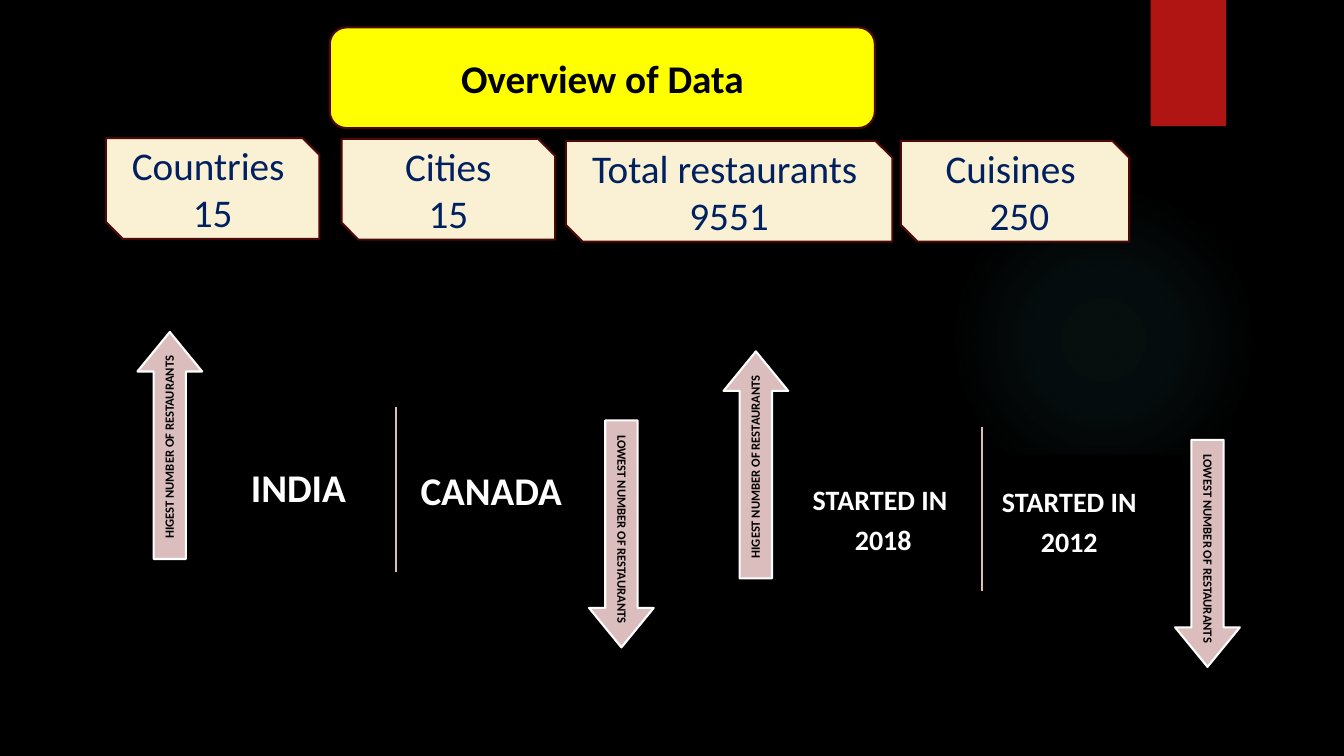
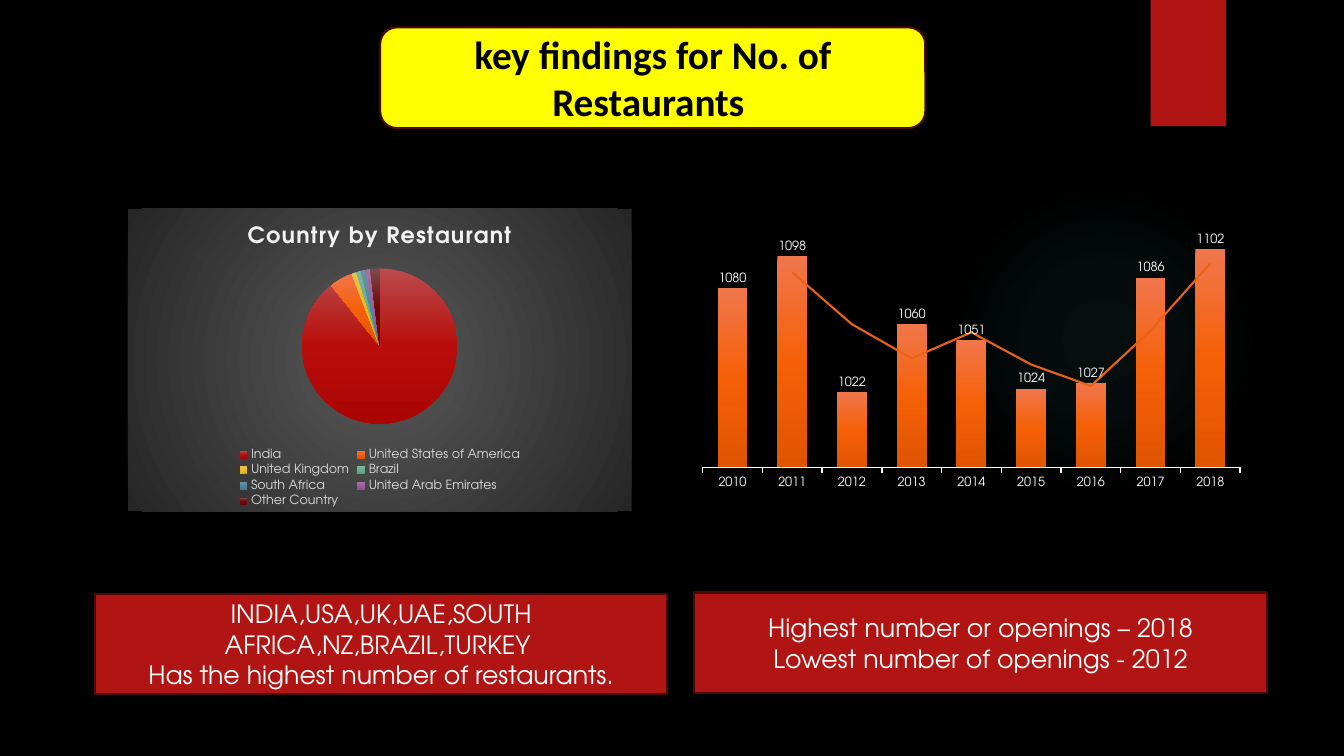
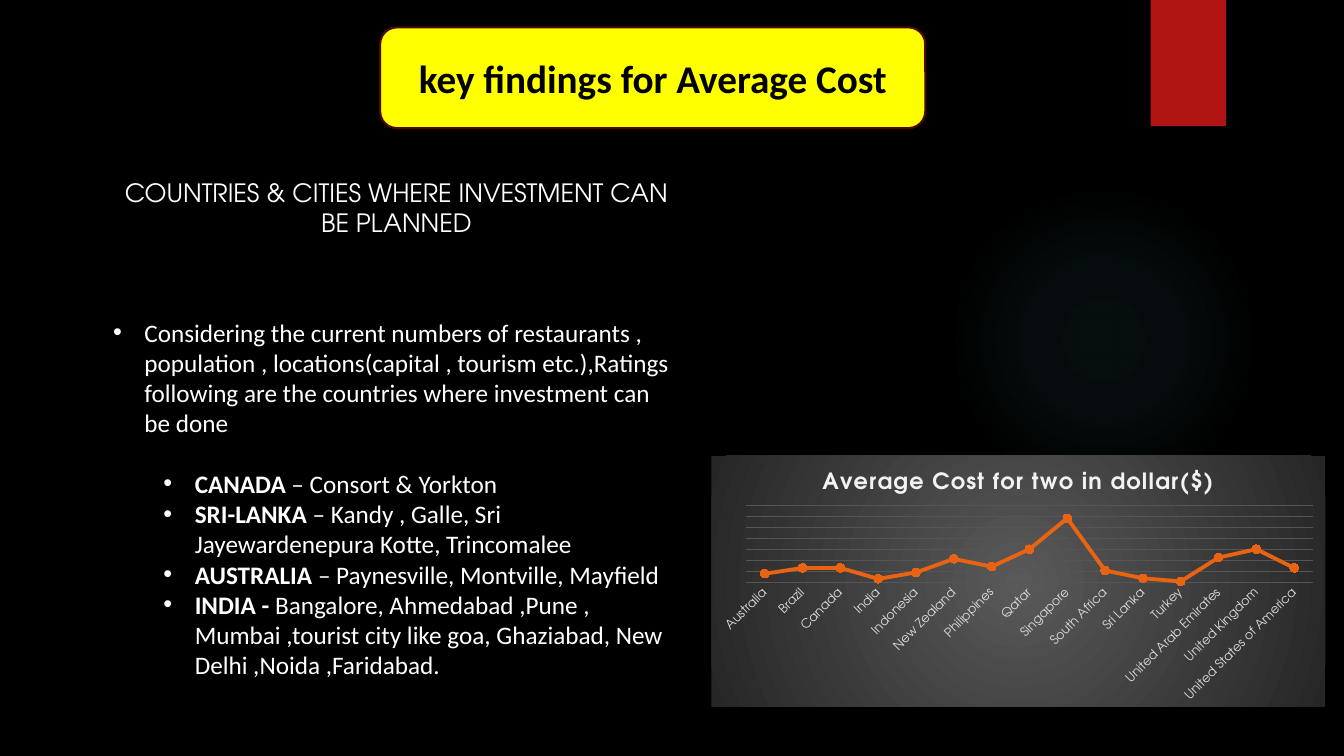
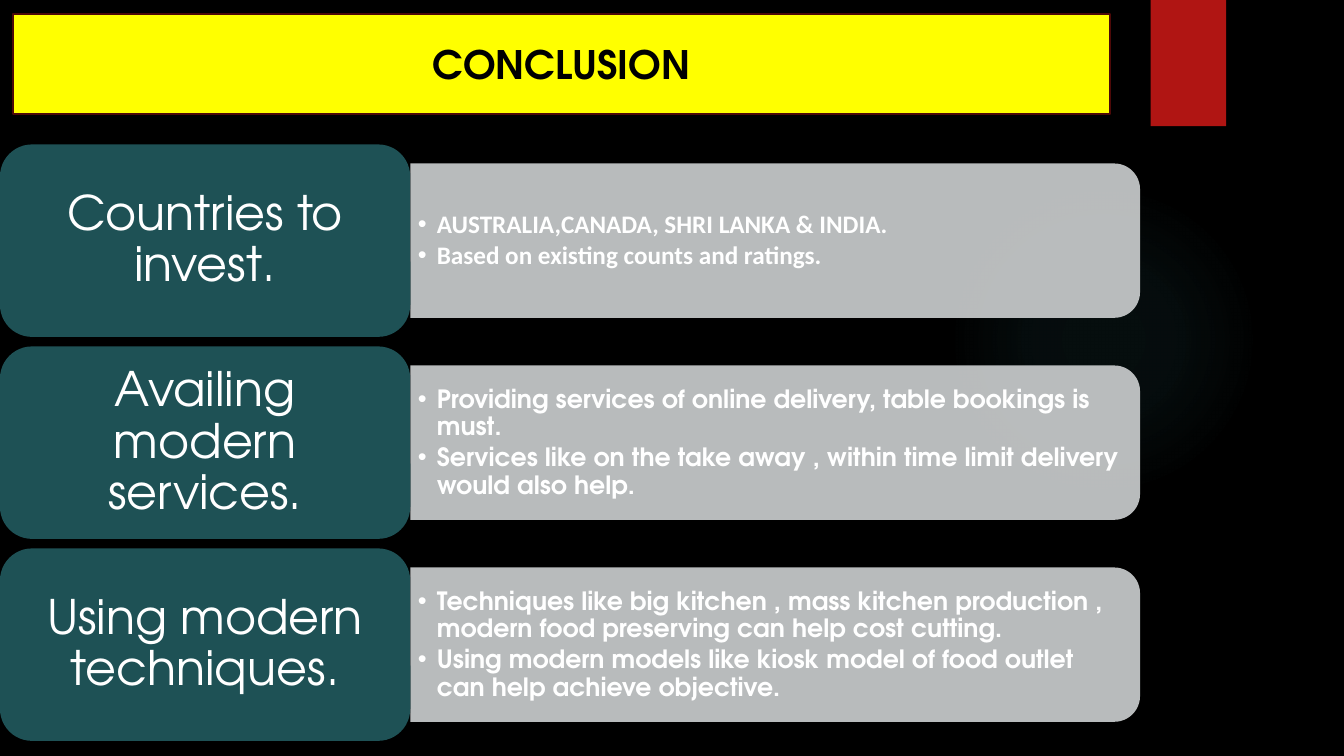
from lxml.etree import SubElement
from pptx import Presentation
from pptx.chart.data import CategoryChartData
from pptx.dml.color import RGBColor
from pptx.enum.chart import (XL_CHART_TYPE as ChartType, XL_LABEL_POSITION as LabelPosition,
                             XL_LEGEND_POSITION as LegendPosition, XL_MARKER_STYLE as Marker,
                             XL_TICK_MARK as Tick)
from pptx.enum.shapes import MSO_CONNECTOR as Connector, MSO_SHAPE as Preset
from pptx.enum.text import MSO_ANCHOR as Anchor, MSO_AUTO_SIZE as AutoSize, PP_ALIGN as Align
from pptx.oxml import parse_xml
from pptx.oxml.ns import nsdecls, qn
from pptx.util import Cm, Pt

BLACK = RGBColor(0, 0, 0)
WHITE = RGBColor(255, 255, 255)
YELLOW = RGBColor(255, 255, 0)
RED = RGBColor(0xB0, 0x15, 0x13)
MAROON = RGBColor(0x4D, 0x09, 0x08)
CREAM = RGBColor(0xFA, 0xF1, 0xD4)
NAVY = RGBColor(0x00, 0x20, 0x60)
ROSE = RGBColor(0xDC, 0xBD, 0xBD)
TEAL = RGBColor(0x1E, 0x51, 0x55)
SILVER = RGBColor(0xCD, 0xD0, 0xD1)
ORANGE = RGBColor(0xEA, 0x63, 0x12)
MARKER_ORANGE = RGBColor(0xF5, 0x60, 0x07)
PALE = RGBColor(0xF2, 0xF2, 0xF2)
LIGHT_GREY = RGBColor(0xD9, 0xD9, 0xD9)
GRID_GREY = RGBColor(0x55, 0x55, 0x55)

# Gradient stops: position, colour, opacity (all in percent)
GLOW = [(0, "50B9C1", 7), (36, "50B9C1", 6), (69, "50B9C1", 0)]
CHART_BACK = [(0, "595959", 100), (100, "262626", 100)]
SLICES = [("BB4C4C", "B80D0B", "AA0503"), ("F1764C", "F56007", "E05400"),
          ("EBBF53", "EFBC20", "DFAC11"), ("7CB59C", "67AF91", "589F81"),
          ("6B92A6", "50859E", "44788F"), ("A972A6", "A15B9E", "924E8F"),
          ("7D4B4B", "6E0807", "660302")]

BODY_FONT = "Calibri"
DISPLAY_FONT = "TeX Gyre Adventor"

# Boxes are left, top, width, height in centimetres
TITLE_BOX = (9.58, 0.69, 13.74, 2.54)
CARDS = [(("Countries ", "15"), (2.67, 3.48, 5.38, 2.54)),
         (("Cities", "15"), (8.61, 3.5, 5.38, 2.54)),
         (("Total restaurants ", "9551"), (14.26, 3.55, 8.23, 2.54)),
         (("Cuisines ", " 250"), (22.7, 3.55, 5.76, 2.54))]
# Panels: left, top, text size, then the centre and the lines of each text
PANELS = [(1.42, 8.36, 28, [(6.1, 3.97, ["INDIA"]), (10.96, 4.07, ["CANADA"])]),
          (16.19, 8.85, 20, [(6.07, 4.3, ["STARTED IN ", "2018"]),
                             (10.76, 4.33, ["STARTED IN", "2012"])])]
ARROWS = [("HIGEST NUMBER OF RESTAURANTS", 270, 2.86, 2.86),
          ("LOWEST NUMBER OF RESTAURANTS", 90, 14.24, 5.09)]

FINDINGS = [(["INDIA,USA,UK,UAE,SOUTH AFRICA,NZ,BRAZIL,TURKEY ",
              "Has the highest number of restaurants."], (2.39, 14.96, 14.43, 2.54)),
            (["Highest number or openings – 2018", "Lowest number of openings - 2012"],
             (17.5, 14.93, 14.43, 2.54))]
COUNTRY_SHARE = {"India": 91, "United States of America": 5, "United Kingdom": 1, "Brazil": 1,
                 "South Africa": 1, "United Arab Emirates": 1, "Other Country": 2}
OPENINGS = {"2010": 1080, "2011": 1098, "2012": 1022, "2013": 1060, "2014": 1051,
            "2015": 1024, "2016": 1027, "2017": 1086, "2018": 1102}
AVERAGE_COST = {"Australia": 14, "Brazil": 23, "Canada": 23, "India": 6, "Indonesia": 16,
                "New Zealand": 37, "Philippines": 25, "Qatar": 52, "Singapore": 100,
                "South Africa": 19, "Sri Lanka": 7, "Turkey": 2, "United Arab Emirates": 39,
                "United Kingdom": 52, "United States of America": 23}

INVESTMENT = [
    "Considering the current numbers of restaurants , population , locations(capital , tourism "
    "etc.),Ratings following are the countries where investment can be done",
    ("CANADA", " – Consort & Yorkton"),
    ("SRI-LANKA ", "– Kandy , Galle, Sri Jayewardenepura Kotte, Trincomalee"),
    ("AUSTRALIA ", "– Paynesville, Montville, Mayfield"),
    ("INDIA - ", "Bangalore, Ahmedabad ,Pune , Mumbai ,tourist city like goa, Ghaziabad, "
                 "New Delhi ,Noida ,Faridabad.")]

CONCLUSIONS = [
    ("Countries to invest.", BODY_FONT,
     ["AUSTRALIA,CANADA, SHRI LANKA & INDIA.", "Based on existing counts and ratings."]),
    ("Availing modern services.", DISPLAY_FONT,
     ["Providing services of online delivery, table bookings is must.",
      "Services like on the take away , within time limit delivery would also help."]),
    ("Using modern techniques.", DISPLAY_FONT,
     ["Techniques like big kitchen , mass kitchen production , modern food preserving can help "
      "cost cutting.",
      "Using modern models like kiosk model of food outlet can help achieve objective."])]


def lengths(box):
    return [Cm(value) for value in box]


def write_text(frame, paragraphs, size=18, font=BODY_FONT, color=WHITE, bold=False,
               align=Align.CENTER, anchor=None, inset=None, line_spacing=None, space_after=0,
               indents=(), hanging=0, tracking=None):
    """Fill a text frame; a paragraph is a string or a (bold, plain) pair."""
    frame.word_wrap = True
    if anchor is not None:
        frame.auto_size = AutoSize.NONE
        frame.vertical_anchor = anchor
    if inset:
        frame.margin_left = frame.margin_right = Cm(inset[0])
        frame.margin_top = frame.margin_bottom = Cm(inset[1])
    for index, content in enumerate(paragraphs):
        paragraph = frame.add_paragraph() if index else frame.paragraphs[0]
        paragraph.alignment = align
        paragraph.space_after = Pt(space_after)
        if line_spacing:
            paragraph.line_spacing = line_spacing
        if indents:
            properties = paragraph._p.get_or_add_pPr()
            properties.set("marL", str(Cm(indents[index])))
            properties.set("indent", str(-Cm(hanging)))
            SubElement(properties, qn("a:buFont")).set("typeface", "Arial")
            SubElement(properties, qn("a:buChar")).set("char", "•")
        runs = [(content, bold)] if isinstance(content, str) else zip(content, (True, False))
        for text, is_bold in runs:
            run = paragraph.add_run()
            run.text = text
            run.font.size, run.font.name, run.font.bold = Pt(size), font, is_bold
            run.font.color.rgb = color
            if tracking:
                run.font._element.set("spc", str(tracking))


def add_shape(slide, preset, box, fill, line=None, rotation=0):
    shape = slide.shapes.add_shape(preset, *lengths(box))
    shape.shadow.inherit = False
    shape.rotation = rotation
    shape.fill.solid()
    shape.fill.fore_color.rgb = fill
    if line is None:
        shape.line.fill.background()
    else:
        shape.line.color.rgb = line
        shape.line.width = Pt(1.5)
    return shape


def add_text(slide, box, paragraphs, **text_format):
    write_text(slide.shapes.add_textbox(*lengths(box)).text_frame, paragraphs, **text_format)


def gradient(stops, radial=False):
    colors = "".join(
        f'<a:gs pos="{position * 1000}"><a:srgbClr val="{color}">'
        f'<a:alpha val="{opacity * 1000}"/></a:srgbClr></a:gs>' for position, color, opacity in stops)
    course = ('<a:path path="circle"><a:fillToRect l="50000" t="50000" r="50000" b="50000"/></a:path>'
              if radial else '<a:lin ang="5400000" scaled="0"/>')
    return parse_xml(f'<a:gradFill {nsdecls("a")} rotWithShape="1"><a:gsLst>{colors}</a:gsLst>'
                     f'{course}</a:gradFill>')


def replace_solid_fill(properties, new_fill):
    properties.replace(properties.find(qn("a:solidFill")), new_fill)


def shade_chart_part(part, colors):
    """Give a series or a point a vertical three-colour gradient."""
    part.format.fill.solid()
    stops = [(position, color, 100) for position, color in zip((0, 50, 100), colors)]
    replace_solid_fill(part.format._element.get_or_add_spPr(), gradient(stops))


def decorate_layout(layout, slide):
    """Draw the glow and the ribbon, then move them to the shared layout."""
    layout.background.fill.solid()
    layout.background.fill.fore_color.rgb = BLACK
    glow = add_shape(slide, Preset.OVAL, (23.9, 4.65, 7.82, 7.82), TEAL)
    replace_solid_fill(glow._element.spPr, gradient(GLOW, radial=True))
    ribbon = add_shape(slide, Preset.RECTANGLE, (29, 0, 1.9, 3.18), RED)
    for index, shape in enumerate((glow, ribbon)):
        layout.shapes.element.insert(2 + index, shape._element)


def set_title(slide, text, box=TITLE_BOX, preset=Preset.ROUNDED_RECTANGLE, font=BODY_FONT):
    """Write the title over a yellow banner."""
    title = slide.shapes.title
    title.left, title.top, title.width, title.height = lengths(box)
    title._element.addprevious(add_shape(slide, preset, box, YELLOW, MAROON)._element)
    write_text(title.text_frame, [text], size=28, font=font, color=BLACK, bold=True,
               anchor=Anchor.MIDDLE, inset=(0.37, 0.13))


def add_chart(slide, kind, box, name, values, title=None):
    """Add a one-series chart; a titled chart gets the dark radial background."""
    data = CategoryChartData()
    data.categories = list(values)
    data.add_series(name, list(values.values()))
    chart = slide.shapes.add_chart(kind, *lengths(box), data).chart
    chart.font.size, chart.font.name = Pt(10), DISPLAY_FONT
    chart.font.color.rgb = WHITE
    chart.has_legend = False
    chart.has_title = title is not None
    if title:
        write_text(chart.chart_title.text_frame, [title], size=16, font=DISPLAY_FONT, color=PALE,
                   bold=True, tracking=100)
        chart.chart_title.include_in_layout = False
        background = parse_xml(f'<c:spPr {nsdecls("c", "a")}><a:ln><a:noFill/></a:ln></c:spPr>')
        background.insert(0, gradient(CHART_BACK, radial=True))
        chart._chartSpace.find(qn("c:chart")).addnext(background)
    return chart


def place_plot(chart, plot_box):
    """Fix the inner plot area, given in fractions of the chart's size."""
    plot_area = chart._chartSpace.chart.plotArea
    for layout in plot_area.findall(qn("c:layout")):
        plot_area.remove(layout)
    sizes = "".join(f'<c:{key} val="{value}"/>' for key, value in zip("xywh", plot_box))
    plot_area.insert(0, parse_xml(
        f'<c:layout {nsdecls("c")}><c:manualLayout><c:layoutTarget val="inner"/>'
        f'<c:xMode val="edge"/><c:yMode val="edge"/>{sizes}</c:manualLayout></c:layout>'))


def format_axes(chart, low, high, tick, label_color, line_color, line_width):
    chart.value_axis.minimum_scale, chart.value_axis.maximum_scale = low, high
    chart.value_axis.visible = False
    axis = chart.category_axis
    axis.major_tick_mark, axis.minor_tick_mark = tick, Tick.NONE
    axis.tick_labels.font.size, axis.tick_labels.font.name = Pt(9), DISPLAY_FONT
    axis.tick_labels.font.color.rgb = label_color
    axis.format.line.color.rgb = line_color
    axis.format.line.width = Pt(line_width)


def build_overview(slide):
    set_title(slide, "Overview of Data", box=(8.31,) + TITLE_BOX[1:])
    for lines, box in CARDS:
        card = add_shape(slide, Preset.SNIP_2_DIAG_RECTANGLE, box, CREAM, MAROON)
        write_text(card.text_frame, lines, size=28, color=NAVY, anchor=Anchor.MIDDLE)
    for left, top, size, columns in PANELS:
        add_shape(slide, Preset.ROUND_2_DIAG_RECTANGLE, (left + 3.46, top + 2.63, 10.08, 3.07),
                  BLACK, BLACK)
        divider_x = left + 8.55
        divider = slide.shapes.add_connector(
            Connector.STRAIGHT, *lengths((divider_x, top + 1.9, divider_x, top + 6.05)))
        divider.line.color.rgb = ROSE
        divider.line.width = Pt(1.5)
        SubElement(divider._element.spPr, qn("a:effectLst"))
        for centre_x, centre_y, lines in columns:
            add_text(slide, (left + centre_x - 2.2, top + centre_y - 1.2, 4.4, 2.4), lines,
                     size=size, bold=True, anchor=Anchor.MIDDLE, inset=(0.2, 0.2),
                     line_spacing=0.9, space_after=size * 0.35)
        for text, rotation, centre_x, centre_y in ARROWS:
            arrow = add_shape(slide, Preset.RIGHT_ARROW,
                              (left + centre_x - 2.86, top + centre_y - 0.81, 5.72, 1.63),
                              ROSE, WHITE, rotation)
            arrow.adjustments[0], arrow.adjustments[1] = 0.5, 0.61
            write_text(arrow.text_frame, [text], size=9, color=BLACK, bold=True, align=Align.RIGHT,
                       anchor=Anchor.MIDDLE, inset=(0.1, 0.1), line_spacing=0.9)


def build_restaurant_findings(slide):
    set_title(slide, "key findings for No. of Restaurants ")
    for lines, box in FINDINGS:
        finding = add_shape(slide, Preset.RECTANGLE, box, RED, MAROON)
        write_text(finding.text_frame, lines, font=DISPLAY_FONT, anchor=Anchor.MIDDLE)

    name = "Country by Restaurant"
    pie = add_chart(slide, ChartType.PIE, (3.22, 5.26, 12.7, 7.62), name, COUNTRY_SHARE, title=name)
    for index, colors in enumerate(SLICES):
        shade_chart_part(pie.plots[0].series[0].points[index], colors)
    pie.has_legend = True
    pie.legend.position = LegendPosition.BOTTOM
    pie.legend.include_in_layout = False
    pie.legend.font.size, pie.legend.font.name = Pt(9), DISPLAY_FONT
    pie.legend.font.color.rgb = LIGHT_GREY

    columns = add_chart(slide, ChartType.COLUMN_CLUSTERED, (17.28, 5.09, 14.26, 7.52), "Series 1",
                        OPENINGS)
    place_plot(columns, (0.03, 0.05, 0.95, 0.84))
    format_axes(columns, 980, 1120, Tick.OUTSIDE, WHITE, WHITE, 1)
    columns.value_axis.has_major_gridlines = False
    plot = columns.plots[0]
    plot.vary_by_categories = False
    plot.gap_width, plot.overlap = 100, -24
    series = plot.series[0]
    shade_chart_part(series, SLICES[1])
    labels = series.data_labels
    labels.show_value, labels.position = True, LabelPosition.OUTSIDE_END
    labels.font.size, labels.font.name = Pt(9), DISPLAY_FONT
    labels.font.color.rgb = WHITE
    series._element.find(qn("c:cat")).addprevious(parse_xml(
        f'<c:trendline {nsdecls("c", "a")}><c:spPr><a:ln w="{Pt(1.5)}"><a:solidFill>'
        f'<a:srgbClr val="{ORANGE}"/></a:solidFill></a:ln></c:spPr>'
        '<c:trendlineType val="movingAvg"/><c:period val="2"/>'
        '<c:dispRSqr val="0"/><c:dispEq val="0"/></c:trendline>'))


def build_cost_findings(slide):
    set_title(slide, "key findings for Average Cost")
    heading = add_shape(slide, Preset.RECTANGLE, (2.6, 3.96, 14.78, 2.54), BLACK, BLACK)
    write_text(heading.text_frame, ["COUNTRIES & CITIES WHERE INVESTMENT CAN BE PLANNED"],
               font=DISPLAY_FONT, anchor=Anchor.MIDDLE)
    details = add_shape(slide, Preset.RECTANGLE, (2.6, 6.88, 14.78, 11.35), BLACK, BLACK)
    write_text(details.text_frame, INVESTMENT, align=Align.LEFT, anchor=Anchor.TOP,
               inset=(0.25, 1.11), indents=[0.79] + [2.06] * 4, hanging=0.79)
    details.text_frame.paragraphs[0].space_after = Pt(21.5)

    chart = add_chart(slide, ChartType.LINE_MARKERS, (17.93, 11.48, 15.47, 6.33), "Series 1",
                      AVERAGE_COST, title="Average Cost for two in dollar($)")
    format_axes(chart, 0, 120, Tick.NONE, LIGHT_GREY, GRID_GREY, 0.75)
    chart.value_axis.major_unit = 17.14
    chart.category_axis._element.find(qn("c:txPr")).find(qn("a:bodyPr")).set("rot", "-2700000")
    grid = chart.value_axis.major_gridlines.format.line
    grid.color.rgb = GRID_GREY
    grid.width = Pt(0.75)
    chart.plots[0].vary_by_categories = False
    series = chart.plots[0].series[0]
    series.smooth = False
    series.format.line.color.rgb = ORANGE
    series.format.line.width = Pt(2.75)
    series.marker.style, series.marker.size = Marker.CIRCLE, 6
    series.marker.format.fill.solid()
    series.marker.format.fill.fore_color.rgb = MARKER_ORANGE
    series.marker.format.line.color.rgb = ORANGE


def build_conclusion(slide):
    set_title(slide, "CONCLUSION", box=(0.33, 0.36, 27.64, 2.51), preset=Preset.RECTANGLE,
              font=DISPLAY_FONT)
    label_width, label_height, body_width, body_height = 10.34, 4.85, 18.39, 3.89
    for index, (heading, font, points) in enumerate(CONCLUSIONS):
        top = 3.64 + index * 5.09
        middle = top + label_height / 2
        # Turned a quarter so that the two round corners face right
        body = add_shape(slide, Preset.ROUND_2_SAME_RECTANGLE,
                         (label_width + (body_width - body_height) / 2, middle - body_width / 2,
                          body_height, body_width), SILVER, rotation=90)
        body_color = body._element.spPr.find(qn("a:solidFill"))[0]
        SubElement(body_color, qn("a:alpha")).set("val", "90000")
        add_text(slide, (label_width + 0.01, middle - 1.74, 18.19, 3.5), points, font=font,
                 bold=True, align=Align.LEFT, anchor=Anchor.MIDDLE, inset=(0.18, 0.1),
                 line_spacing=0.9, space_after=3, indents=[0.48] * len(points), hanging=0.48)
        label = add_shape(slide, Preset.ROUNDED_RECTANGLE, (0, top, label_width, label_height), TEAL)
        write_text(label.text_frame, [heading], size=34, font=DISPLAY_FONT, anchor=Anchor.MIDDLE,
                   inset=(0.36, 0.18), line_spacing=0.9)


def main():
    presentation = Presentation()
    presentation.slide_width, presentation.slide_height = Cm(33.87), Cm(19.05)
    layout = presentation.slide_layouts.get_by_name("Title Only")
    builders = (build_overview, build_restaurant_findings, build_cost_findings, build_conclusion)
    for index, build in enumerate(builders):
        slide = presentation.slides.add_slide(layout)
        if index == 0:
            decorate_layout(layout, slide)
        build(slide)
    presentation.save("out.pptx")


if __name__ == "__main__":
    main()
